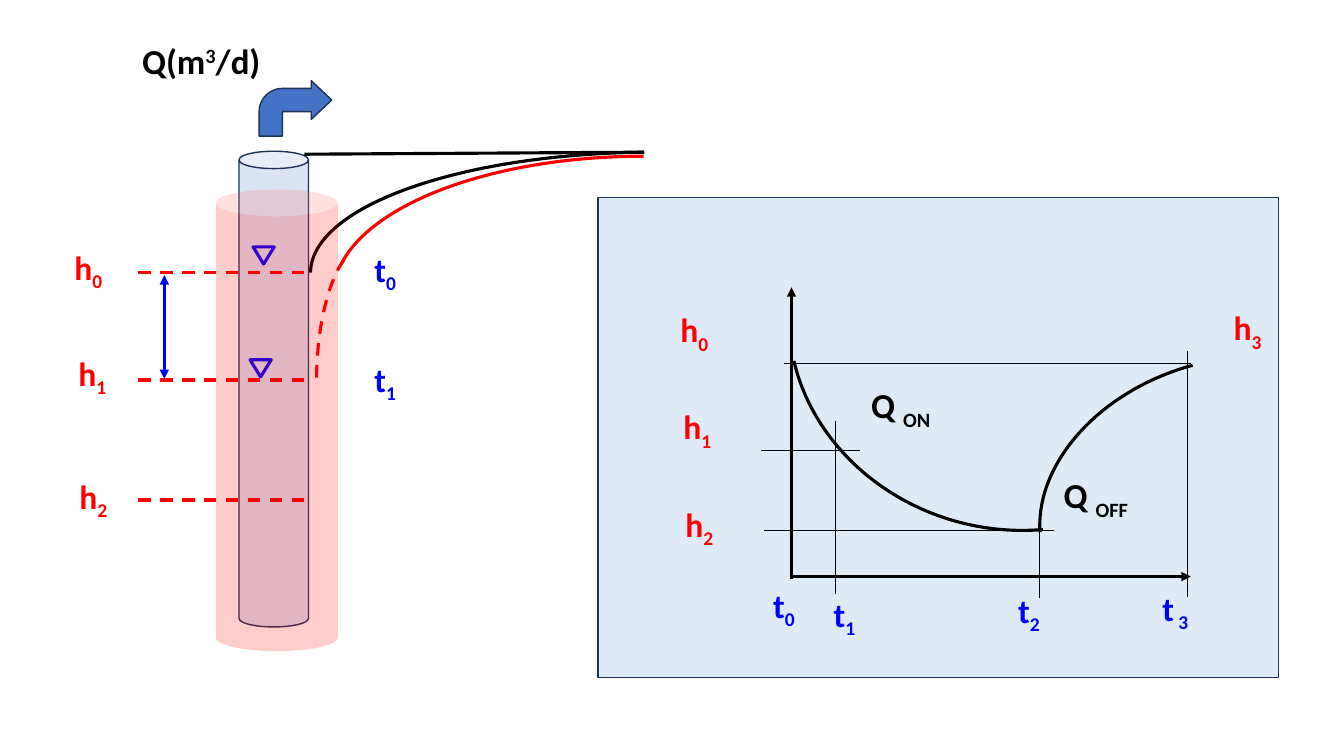
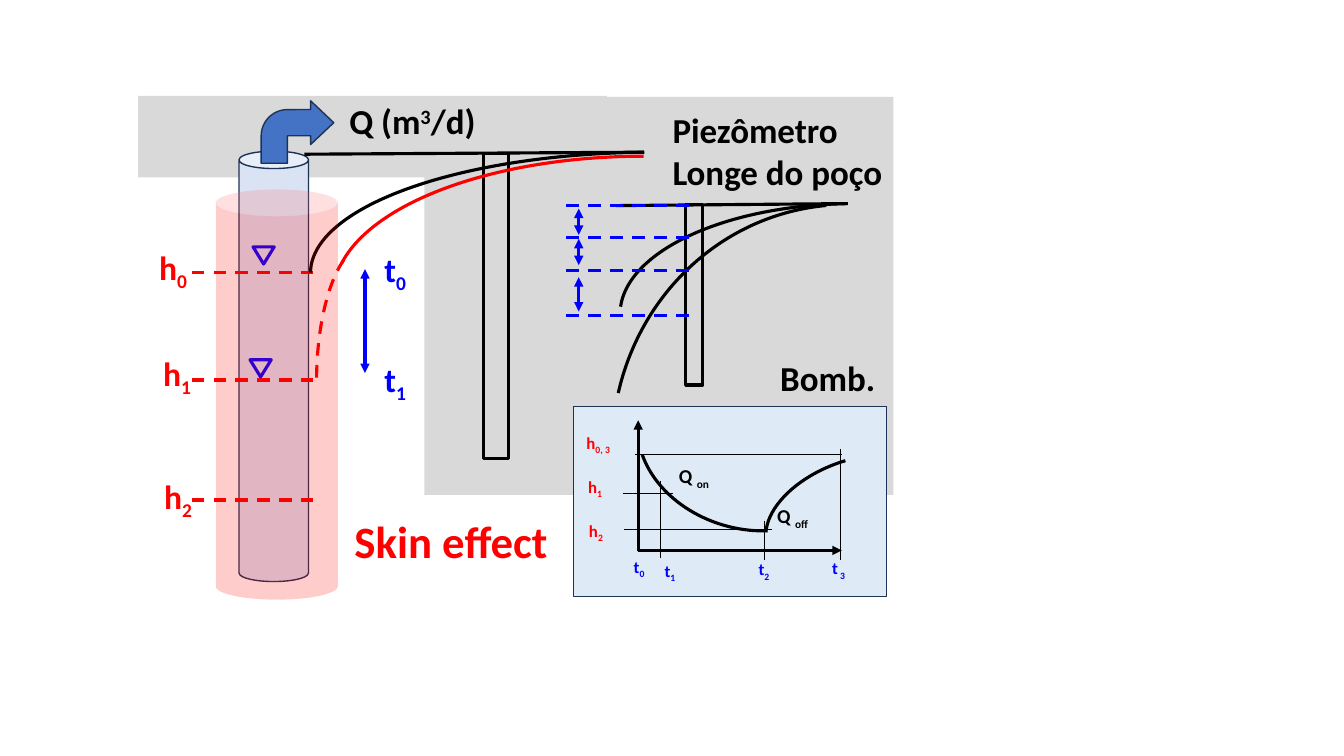
from dataclasses import dataclass

import pptx
import pptx.dml.color
import pptx.enum.dml
import pptx.enum.shapes
import pptx.enum.text
import pptx.oxml.ns
import pptx.shapes.autoshape
import pptx.shapes.base
import pptx.slide
import pptx.util
from lxml import etree

Inches = pptx.util.Inches
Preset = pptx.enum.shapes.MSO_SHAPE
Align = pptx.enum.text.PP_ALIGN

BLACK, RED, BLUE = "000000", "FF0000", "0000FF"
OUTLINE, PANEL, WATER, PUMP, GROUND = "1E3256", "DEEBF7", "DAE3F3", "4472C4", "D9D9D9"
FONT = "Calibri"
THICK, MEDIUM, THIN = 2.25, 1, 0.5
SUBSCRIPT, SUPERSCRIPT = -25, 30


@dataclass(frozen=True)
class Box:
    left: float
    top: float
    width: float
    height: float


@dataclass(frozen=True)
class Span:
    text: str
    baseline: int = 0


@dataclass(frozen=True)
class Label:
    box: Box
    lines: list[list[Span]]
    color: str = BLACK
    size: float = 25
    align: Align = Align.LEFT
    tight: bool = True


@dataclass(frozen=True)
class Arc:
    box: Box
    start: float
    end: float
    color: str = BLACK
    dashed: bool = False
    flip: str = "flipH"
    rotation: float = 0


@dataclass(frozen=True)
class Well:
    casing_height: float
    skin_height: float
    pump: Box
    level_left: float
    label_left: float
    time_left: float
    arrow_left: float
    arrow_top: float
    flow: Label


@dataclass(frozen=True)
class Chart:
    panel: Box
    left: float
    bottom: float
    x_scale: float
    y_scale: float
    recovery_width: float
    top_index: str
    on: str
    off: str
    symbol_size: float
    flow_size: float

    def x(self, offset: float) -> float:
        return self.left + offset * self.x_scale

    def y(self, offset: float) -> float:
        return self.bottom + offset * self.y_scale


def rgb(color: str) -> pptx.dml.color.RGBColor:
    return pptx.dml.color.RGBColor.from_string(color)


def set_line(shape: pptx.shapes.base.BaseShape, color: str, weight: float, dashed: bool = False) -> None:
    shape.line.color.rgb = rgb(color)
    shape.line.width = pptx.util.Pt(weight)
    if dashed:
        shape.line.dash_style = pptx.enum.dml.MSO_LINE.DASH


def add_shape(page: pptx.slide.Slide, preset: Preset, box: Box, fill: str = "", line: str = "",
              weight: float = MEDIUM, dashed: bool = False, adjustments: tuple[float, ...] = (),
              flip: str = "") -> pptx.shapes.autoshape.Shape:
    shape = page.shapes.add_shape(preset, Inches(box.left), Inches(box.top),
                                  Inches(box.width), Inches(box.height))
    shape.shadow.inherit = False
    for index, value in enumerate(adjustments):
        shape.adjustments[index] = value
    if fill:
        shape.fill.solid()
        shape.fill.fore_color.rgb = rgb(fill)
    else:
        shape.fill.background()
    if line:
        set_line(shape, line, weight, dashed)
    else:
        shape.line.fill.background()
    if flip:
        shape.element.spPr.find(pptx.oxml.ns.qn("a:xfrm")).set(flip, "1")
    return shape


def set_opacity(shape: pptx.shapes.autoshape.Shape, percent: int) -> None:
    color = shape.element.spPr.find(".//" + pptx.oxml.ns.qn("a:srgbClr"))
    etree.SubElement(color, pptx.oxml.ns.qn("a:alpha")).set("val", str(percent * 1000))


def add_arc(page: pptx.slide.Slide, arc: Arc) -> None:
    shape = add_shape(page, Preset.ARC, arc.box, line=arc.color, weight=THICK, dashed=arc.dashed,
                      adjustments=(arc.start, arc.end), flip=arc.flip)
    shape.rotation = arc.rotation


def add_line(page: pptx.slide.Slide, x1: float, y1: float, x2: float, y2: float, color: str = BLACK,
             weight: float = THICK, dashed: bool = False, arrows: tuple[str, ...] = ()) -> None:
    line = page.shapes.add_connector(pptx.enum.shapes.MSO_CONNECTOR.STRAIGHT,
                                     Inches(x1), Inches(y1), Inches(x2), Inches(y2))
    set_line(line, color, weight, dashed)
    for end in arrows:
        outline = line.element.spPr.find(pptx.oxml.ns.qn("a:ln"))
        etree.SubElement(outline, pptx.oxml.ns.qn(f"a:{end}")).set("type", "triangle")
    etree.SubElement(line.element.spPr, pptx.oxml.ns.qn("a:effectLst"))


def add_range(page: pptx.slide.Slide, left: float, top: float, bottom: float) -> None:
    add_line(page, left, top, left, bottom, BLUE, arrows=("headEnd", "tailEnd"))


def add_label(page: pptx.slide.Slide, label: Label) -> None:
    box = label.box
    frame = page.shapes.add_textbox(Inches(box.left), Inches(box.top),
                                    Inches(box.width), Inches(box.height)).text_frame
    frame.word_wrap = not label.tight
    if label.tight:
        frame.margin_left = frame.margin_right = frame.margin_top = frame.margin_bottom = 0
    for index, spans in enumerate(label.lines):
        para = frame.add_paragraph() if index else frame.paragraphs[0]
        para.alignment = label.align
        para.font.name = FONT
        para.font.size = pptx.util.Pt(label.size)
        para.font.bold = True
        para.font.color.rgb = rgb(label.color)
        for span in spans:
            run = para.add_run()
            run.text = span.text
            if span.baseline:
                run.font._element.set("baseline", str(span.baseline * 1000))


def add_symbol(page: pptx.slide.Slide, letter: str, index: str, box: Box, size: float = 24,
               align: Align = Align.LEFT) -> None:
    color = BLUE if letter == "t" else RED
    add_label(page, Label(box, [[Span(letter), Span(index, SUBSCRIPT)]], color, size, align, False))


def flow_label(prefix: str, left: float, top: float, align: Align) -> Label:
    spans = [Span(prefix), Span("3", SUPERSCRIPT), Span("/d)")]
    return Label(Box(left, top, 1.4, 0.51), [spans], align=align)


def draw_well(page: pptx.slide.Slide, well: Well) -> None:
    add_shape(page, Preset.CAN, Box(2.37, 1.5, 0.69, well.casing_height), WATER, OUTLINE)
    for level in (2.7, 3.77, 4.96):
        add_line(page, well.level_left, level, 3.1, level, RED, dashed=True)
    add_line(page, 3.02, 1.53, 6.39, 1.51)
    for arc in (
        Arc(Box(3.08, 1.51, 6.81, 2.39), 164.84, 0),
        Arc(Box(3.14, 2.41, 1.04, 2.74), 169.05, 0, RED, dashed=True),
        Arc(Box(3.31, 1.55, 6.15, 2.74), 162, 212.46, RED),
    ):
        add_arc(page, arc)
    for left, top in ((2.51, 2.45), (2.48, 3.57)):
        add_shape(page, Preset.ISOSCELES_TRIANGLE, Box(left, top, 0.21, 0.17),
                  line=BLUE, weight=THICK, flip="flipV")
    add_shape(page, Preset.BENT_ARROW, well.pump, PUMP, OUTLINE, adjustments=(0.42, 0.35, 0.37, 0.42))
    skin = add_shape(page, Preset.CAN, Box(2.14, 1.88, 1.21, well.skin_height), RED, adjustments=(0.22,))
    set_opacity(skin, 20)
    for index, top in enumerate((2.42, 3.51)):
        add_symbol(page, "t", str(index), Box(well.time_left, top, 0.62, 0.5), align=Align.CENTER)
    for index, (shift, top) in enumerate(((0, 2.4), (0.04, 3.45), (0.05, 4.67))):
        add_symbol(page, "h", str(index), Box(well.label_left + shift, top, 0.87, 0.5))
    add_range(page, well.arrow_left, well.arrow_top, well.arrow_top + 1.03)
    add_label(page, well.flow)


def draw_chart(page: pptx.slide.Slide, chart: Chart) -> None:
    add_shape(page, Preset.RECTANGLE, chart.panel, PANEL, OUTLINE)

    def draw(x1: float, y1: float, x2: float, y2: float, weight: float, arrows: tuple[str, ...] = ()) -> None:
        add_line(page, chart.x(x1), chart.y(y1), chart.x(x2), chart.y(y2), weight=weight, arrows=arrows)

    def place(x: float, y: float, width: float, height: float) -> Box:
        return Box(chart.x(x), chart.y(y), width * chart.x_scale, height * chart.y_scale)

    def centre(x: float, y: float, width: float, height: float) -> Box:
        wide, high = width * chart.y_scale, height * chart.x_scale
        return Box(chart.x(x) - wide / 2, chart.y(y) - high / 2, wide, high)

    for axis in ((0, 0, 0, -2.89), (0, -0.02, 3.96, -0.02)):
        draw(*axis, THICK, ("tailEnd",))
    add_arc(page, Arc(centre(2.16, -2.46, 3.93, 4.4), 176.18, 15.13, flip="flipV", rotation=105.6))
    add_arc(page, Arc(centre(4.24, -0.8, chart.recovery_width, 3.65), 211.09, 48.86, rotation=70.6))
    for guide in (
        (-0.3, -1.27, 0.68, -1.27),
        (-0.27, -0.48, 2.6, -0.48),
        (-0.07, -2.14, 3.96, -2.14),
        (0.44, -1.56, 0.44, 0.15),
        (2.46, -0.67, 2.46, 0.19),
        (3.93, -2.26, 3.93, 0.18),
    ):
        draw(*guide, THIN)
    for letter, index, x, y, width in (
        ("h", chart.top_index, -1.2, -2.72, 1.81),
        ("h", "1", -1.17, -1.76, 1.81),
        ("h", "2", -1.15, -0.79, 1.81),
        ("t", "0", -0.28, 0.01, 0.71),
        ("t", "1", 0.32, 0.1, 0.71),
        ("t", "2", 2.15, 0.06, 0.71),
        ("t", " 3", 3.58, 0.04, 0.71),
    ):
        add_symbol(page, letter, index, place(x, y, width, 0.62), chart.symbol_size)
    for state, x, y in ((chart.on, 0.79, -1.93), (chart.off, 2.7, -1.04)):
        spans = [Span("Q "), Span(state, SUBSCRIPT)]
        add_label(page, Label(place(x, y, 1.41, 0.74), [spans], size=chart.flow_size))


def draw_piezometer(page: pptx.slide.Slide) -> None:
    add_arc(page, Arc(Box(6.07, 2.03, 4.65, 4.85), 164.84, 207.72))
    add_line(page, 6.11, 2.04, 8.41, 2.02)
    add_arc(page, Arc(Box(6.15, 2.02, 4.65, 2.19), 164.84, 214.92))
    add_shape(page, Preset.RECTANGLE, Box(6.8, 2.03, 0.17, 1.79), line=BLACK, weight=THICK)
    for level in (2.04, 2.36, 2.68, 3.13):
        add_line(page, 6.83, level, 5.6, level, BLUE, dashed=True)
    for top, bottom in ((2.07, 2.33), (2.37, 2.63), (2.75, 3.09)):
        add_range(page, 5.74, top, bottom)
    add_label(page, Label(Box(6.67, 1.08, 2.15, 0.9), [[Span("Piezômetro")], [Span("Longe do poço")]]))
    add_label(page, Label(Box(6.6, 3.54, 2.08, 0.51), [[Span("Bomb.")]], align=Align.RIGHT))


def draw_pumping_test(page: pptx.slide.Slide) -> None:
    draw_well(page, Well(4.72, 4.58, Box(2.57, 0.8, 0.72, 0.55), 1.37, 0.64, 3.51, 1.63, 2.73,
                         flow_label("Q(m", 1.41, 0.39, Align.LEFT)))
    draw_chart(page, Chart(Box(5.93, 1.96, 6.75, 4.76), 7.85, 5.74, 1, 1, 2.67, "0", "ON", "OFF", 24, 25))
    add_symbol(page, "h", "3", Box(10.8, 3, 1.81, 0.5), align=Align.RIGHT)


def draw_skin_effect(page: pptx.slide.Slide) -> None:
    for ground in (Box(1.37, 0.95, 4.65, 0.81), Box(4.21, 0.96, 4.65, 3.95)):
        add_shape(page, Preset.RECTANGLE, ground, GROUND)
    add_shape(page, Preset.RECTANGLE, Box(4.8, 1.52, 0.24, 3.03), line=BLACK, weight=THICK)
    draw_well(page, Well(4.27, 4.07, Box(2.59, 1, 0.72, 0.62), 1.9, 1.48, 3.61, 3.62, 2.67,
                         flow_label("Q (m", 3.39, 0.99, Align.CENTER)))
    add_label(page, Label(Box(3.41, 5.05, 2.13, 0.64), [[Span("Skin effect")]], RED, 32, Align.CENTER, False))
    draw_piezometer(page)
    draw_chart(page, Chart(Box(5.69, 4.03, 3.1, 1.89), 6.33, 5.47, 0.51, 0.45, 2.43, "0, 3", "on", "off", 12, 14))


def main() -> None:
    deck = pptx.Presentation()
    deck.slide_width, deck.slide_height = Inches(13.33), Inches(7.5)
    for draw in (draw_pumping_test, draw_skin_effect):
        draw(deck.slides.add_slide(deck.slide_layouts.get_by_name("Blank")))
    deck.save("out.pptx")


if __name__ == "__main__":
    main()
